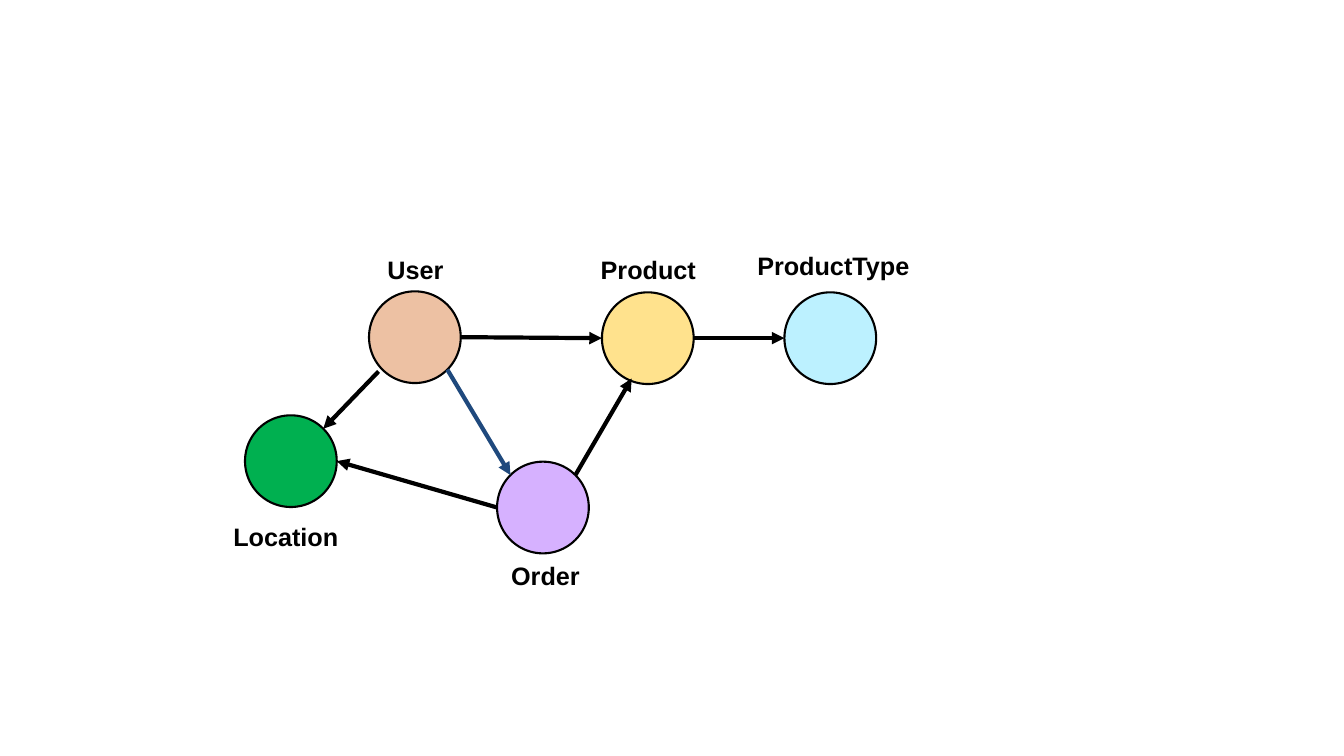
from pptx import Presentation
from pptx.dml.color import RGBColor as RGB
from pptx.enum.shapes import MSO_CONNECTOR as LINE, MSO_SHAPE as SHAPE
from pptx.enum.text import PP_ALIGN as ALIGN
from pptx.oxml.ns import qn
from pptx.util import Inches, Pt
from lxml import etree

BLACK = RGB(0x00, 0x00, 0x00)
NAVY = RGB(0x1F, 0x49, 0x7D)
PEACH = RGB(0xED, 0xC1, 0xA3)
GOLD = RGB(0xFF, 0xD9, 0x66)
SKY = RGB(0xBC, 0xF1, 0xFF)
LILAC = RGB(0xD6, 0xB1, 0xFF)
GREEN = RGB(0x00, 0xB0, 0x50)

# Nodes: left, top, fill, opacity in percent
SIZE = 0.91
NODES = {
    "User": (3.66, 2.89, PEACH, 100),
    "Product": (5.97, 2.90, GOLD, 74),
    "ProductType": (7.78, 2.90, SKY, 100),
    "Order": (4.93, 4.58, LILAC, 100),
    "Location": (2.43, 4.12, GREEN, 100),
}

# Ports: offset from the centre of a node
RAD = SIZE / 2
DIAG = RAD * 0.5 ** 0.5
PORTS = {
    "left": (-RAD, 0),
    "right": (RAD, 0),
    "top left": (-DIAG, -DIAG),
    "top right": (DIAG, -DIAG),
    "low right": (DIAG, DIAG),
    "low left": (-0.36, 0.34),
    "base": (-0.16, 0.40),
}

# Edges: node and port at each end, colour
EDGES = [
    ("User", "low right", "Order", "top left", NAVY),
    ("User", "right", "Product", "left", BLACK),
    ("Order", "top right", "Product", "base", BLACK),
    ("Product", "right", "ProductType", "left", BLACK),
    ("User", "low left", "Location", "top right", BLACK),
    ("Order", "left", "Location", "right", BLACK),
]

# Labels: text, left, top, width
LABELS = [
    ("User", 3.54, 2.42, 1.16),
    ("Product", 5.85, 2.42, 1.16),
    ("ProductType", 7.37, 2.38, 1.79),
    ("Order", 4.83, 5.46, 1.16),
    ("Location", 2.14, 5.07, 1.39),
]


def add_node(slide, left, top, fill, alpha):
    node = slide.shapes.add_shape(
        SHAPE.OVAL, Inches(left), Inches(top), Inches(SIZE), Inches(SIZE))
    node.shadow.inherit = False
    node.fill.solid()
    node.fill.fore_color.rgb = fill
    if alpha < 100:
        color = node._element.spPr.find(qn("a:solidFill")).find(qn("a:srgbClr"))
        etree.SubElement(color, qn("a:alpha"), val=str(alpha * 1000))
    node.line.color.rgb = BLACK
    node.line.width = Pt(1.5)


def port(name, side):
    left, top = NODES[name][:2]
    dx, dy = PORTS[side]
    return Inches(left + RAD + dx), Inches(top + RAD + dy)


def add_edge(slide, start, end, color):
    edge = slide.shapes.add_connector(LINE.STRAIGHT, *start, *end)
    edge.line.color.rgb = color
    edge.line.width = Pt(3)
    etree.SubElement(edge.line._get_or_add_ln(), qn("a:tailEnd"), type="triangle")
    etree.SubElement(edge._element.spPr, qn("a:effectLst"))


def add_label(slide, text, left, top, width):
    box = slide.shapes.add_textbox(
        Inches(left), Inches(top), Inches(width), Inches(0.51))
    frame = box.text_frame
    frame.word_wrap = True
    frame.margin_left = frame.margin_right = Inches(0.1)
    frame.margin_top = frame.margin_bottom = Inches(0.1)
    frame.text = text
    para = frame.paragraphs[0]
    para.alignment = ALIGN.CENTER
    font = para.runs[0].font
    font.name, font.size, font.bold = "Arial", Pt(18), True
    font.color.rgb = BLACK


def main():
    deck = Presentation()
    deck.slide_width, deck.slide_height = Inches(13.33), Inches(7.5)
    slide = deck.slides.add_slide(deck.slide_layouts[6])
    for node in NODES.values():
        add_node(slide, *node)
    for src, out, dest, into, color in EDGES:
        add_edge(slide, port(src, out), port(dest, into), color)
    for label in LABELS:
        add_label(slide, *label)
    deck.save("out.pptx")


if __name__ == "__main__":
    main()
